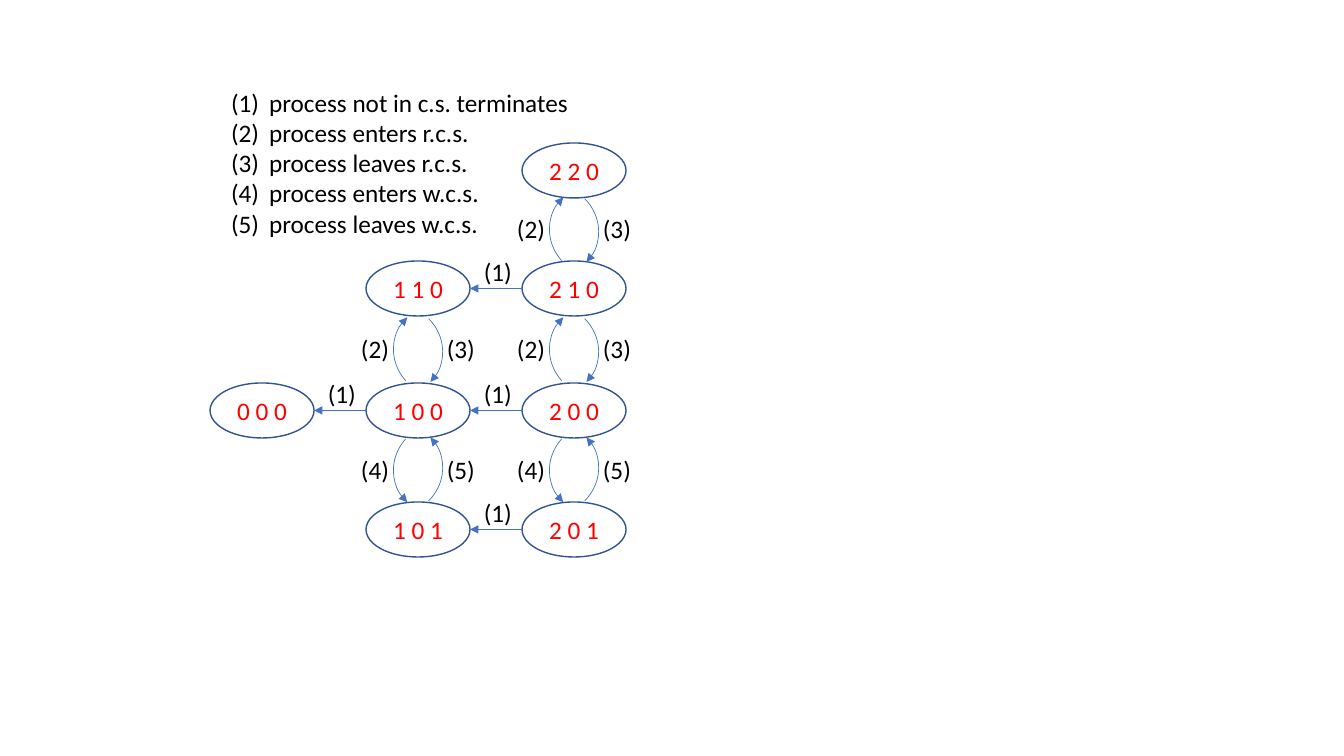
from dataclasses import dataclass

from lxml import etree
from pptx import Presentation
from pptx.dml.color import RGBColor
from pptx.enum.shapes import MSO_CONNECTOR, MSO_SHAPE
from pptx.enum.text import MSO_ANCHOR, PP_ALIGN
from pptx.oxml.ns import qn
from pptx.util import Pt

SCALE = 914400 / 100.8  # EMU per pixel
ELLIPSE, ARC = MSO_SHAPE.OVAL, MSO_SHAPE.ARC
STRAIGHT = MSO_CONNECTOR.STRAIGHT
LEFT, CENTER = PP_ALIGN.LEFT, PP_ALIGN.CENTER
TOP, MIDDLE = MSO_ANCHOR.TOP, MSO_ANCHOR.MIDDLE


@dataclass(frozen=True)
class Theme:
    """Colours, font and sizes used on the slide."""
    state_text: RGBColor = RGBColor(0xFF, 0, 0)
    text: RGBColor = RGBColor(0, 0, 0)
    state_line: RGBColor = RGBColor(0x32, 0x54, 0x91)
    arrow: RGBColor = RGBColor(0x44, 0x72, 0xC4)
    font: str = "Calibri"
    size: float = 18
    state_width: float = 1
    arrow_width: float = 0.5


THEME = Theme()
NODE_W, NODE_H = 104, 55
COLUMN_STEP = 156
ROWS = (0, 118, 240, 359)  # tops of the state rows, within the diagram
ARC_W, ARC_H = 92, 87
LABEL_W, LABEL_H = 48, 40

# (column, row): state
STATES = {
    (2, 0): "2 2 0", (1, 1): "1 1 0", (2, 1): "2 1 0",
    (0, 2): "0 0 0", (1, 2): "1 0 0", (2, 2): "2 0 0",
    (1, 3): "1 0 1", (2, 3): "2 0 1",
}
TERMINATIONS = [(2, 1), (1, 2), (2, 2), (2, 3)]  # states the arrows leave
# column, upper row, left label, right label, left arc points up
LOOPS = [
    (2, 0, "(2)", "(3)", True), (1, 1, "(2)", "(3)", True),
    (2, 1, "(2)", "(3)", True), (1, 2, "(4)", "(5)", False),
    (2, 2, "(4)", "(5)", False),
]
LEGEND = [
    "process not in c.s. terminates", "process enters r.c.s.",
    "process leaves r.c.s.", "process enters w.c.s.", "process leaves w.c.s.",
]


def px(*lengths):
    """Turn pixel lengths into EMU."""
    return [round(length * SCALE) for length in lengths]


def add_span(para, words, color):
    """Add one formatted run to a paragraph."""
    span = para.add_run()
    span.text = words
    span.font.name = THEME.font
    span.font.size = Pt(THEME.size)
    span.font.color.rgb = color


def add_arrowhead(line):
    """Put a triangle at the far end of a line."""
    etree.SubElement(line._get_or_add_ln(), qn("a:tailEnd"), type="triangle")


def add_outline(shapes, kind, box, color, width):
    """Add an unfilled preset shape with a coloured outline."""
    shape = shapes.add_shape(kind, *px(*box))
    shape.shadow.inherit = False
    shape.fill.background()
    shape.line.color.rgb = color
    shape.line.width = Pt(width)
    return shape


def add_state(page, box, name):
    """Draw one state as an ellipse with its name."""
    frame = add_outline(page.shapes, ELLIPSE, box, THEME.state_line,
                        THEME.state_width).text_frame
    frame.word_wrap = False
    frame.vertical_anchor = MIDDLE
    para = frame.paragraphs[0]
    para.alignment = CENTER
    add_span(para, name, THEME.state_text)


def add_label(page, left, top, words):
    """Write a transition number."""
    frame = page.shapes.add_textbox(*px(left, top, LABEL_W, LABEL_H)).text_frame
    frame.word_wrap = False
    add_span(frame.paragraphs[0], words, THEME.text)


def add_termination(page, left, top):
    """Draw the labelled arrow from a state at left, top to its neighbour."""
    middle = top + NODE_H / 2
    end = left - COLUMN_STEP + NODE_W
    arrow = page.shapes.add_connector(STRAIGHT, *px(left, middle, end, middle))
    arrow.line.color.rgb = THEME.arrow
    arrow.line.width = Pt(THEME.arrow_width)
    add_arrowhead(arrow.line)
    etree.SubElement(arrow._element.spPr, qn("a:effectLst"))
    add_label(page, left - LABEL_W, top - 10, "(1)")


def add_loop(page, left, middle, labels, left_up):
    """Draw the pair of arcs, centred on middle, between stacked states."""
    group = page.shapes.add_group_shape()
    turn = 1 if left_up else -1
    for offset, drop, angle in ((26, 2 * turn, 228.1), (-14, 0, 45)):
        box = (left + offset, middle - ARC_H / 2 + drop, ARC_W, ARC_H)
        arc = add_outline(group.shapes, ARC, box, THEME.arrow, THEME.arrow_width)
        arc.rotation = turn * angle % 360
        if not left_up:
            arc._element.spPr.xfrm.set("flipV", "1")
        add_arrowhead(arc.line)
    for offset, words in zip((-15, 71), labels):
        add_label(page, left + offset, middle - LABEL_H / 2 - 1, words)


def add_diagram(page, left, top):
    """Place the states on their grid and join them."""
    def corner(column, row):
        """Return the top left corner of a grid cell."""
        return left + column * COLUMN_STEP, top + ROWS[row]

    for cell, name in STATES.items():
        add_state(page, (*corner(*cell), NODE_W, NODE_H), name)
    for cell in TERMINATIONS:
        add_termination(page, *corner(*cell))
    for column, row, left_label, right_label, left_up in LOOPS:
        x, upper = corner(column, row)
        lower = top + ROWS[row + 1]
        middle = (upper + NODE_H + lower) / 2
        add_loop(page, x, middle, (left_label, right_label), left_up)


def add_legend(page, box):
    """Fill the body placeholder with the numbered transitions."""
    body = page.placeholders[1]
    body.left, body.top, body.width, body.height = px(*box)
    frame = body.text_frame
    frame.word_wrap = False
    frame.vertical_anchor = TOP
    indent = px(38)[0]
    for index, words in enumerate(LEGEND):
        para = frame.add_paragraph() if index else frame.paragraphs[0]
        para.alignment = LEFT
        para.line_spacing = 1.0
        para.space_before = para.space_after = Pt(0)
        add_span(para, words, THEME.text)
        props = para._p.get_or_add_pPr()
        props.set("marL", str(indent))
        props.set("indent", str(-indent))
        etree.SubElement(props, qn("a:buFont"), typeface=THEME.font)
        etree.SubElement(props, qn("a:buAutoNum"), type="arabicParenBoth")


def build():
    """Build the deck and save it."""
    deck = Presentation()
    deck.slide_width, deck.slide_height = px(1344, 756)
    page = deck.slides.add_slide(deck.slide_layouts[1])
    title = page.shapes.title._element
    title.getparent().remove(title)
    add_diagram(page, 210, 143)
    add_legend(page, (221, 82, 361, 163))
    deck.save("out.pptx")


build()
